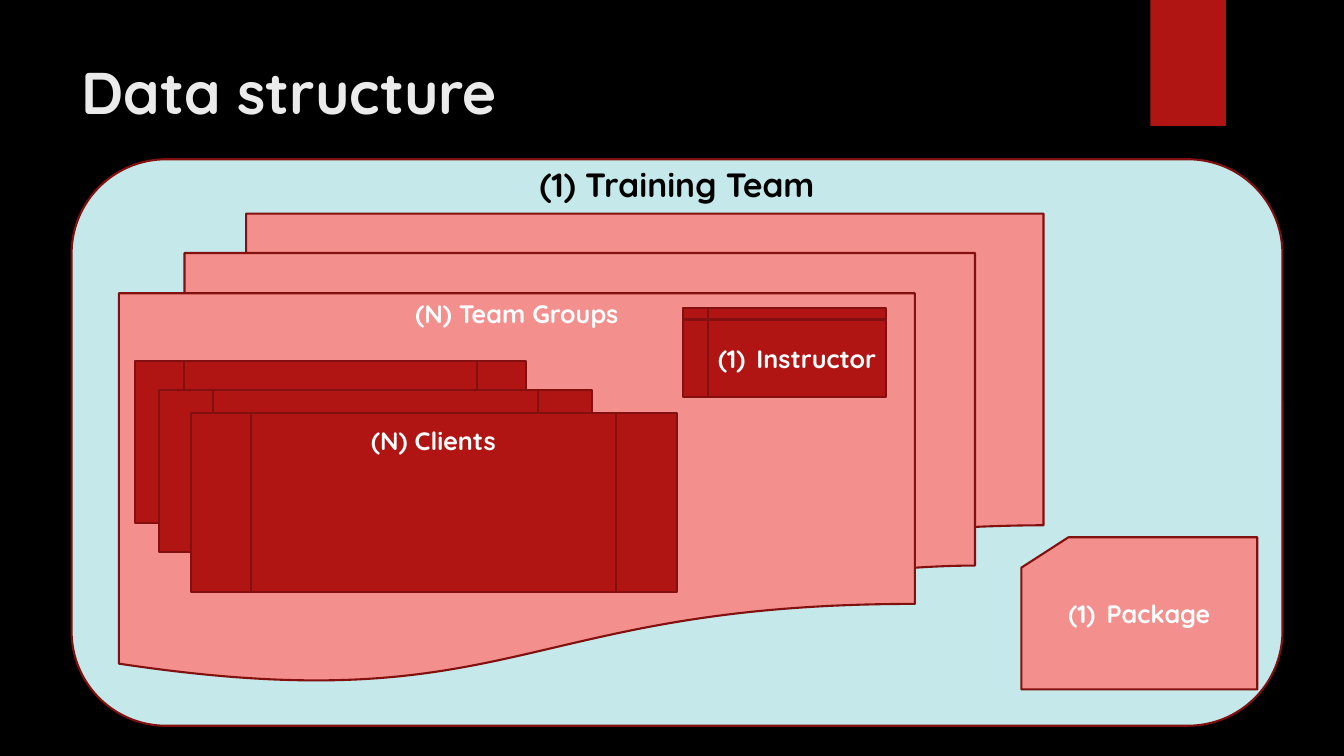
import pptx
import pptx.util
import pptx.dml.color
import pptx.enum.shapes
import pptx.enum.text
import pptx.oxml.ns
import lxml.etree

Inches = pptx.util.Inches
Kind = pptx.enum.shapes.MSO_SHAPE
Anchor = pptx.enum.text.MSO_ANCHOR
Align = pptx.enum.text.PP_ALIGN

FONT = "Quicksand"
RED, DARK, PINK, PALE = "B01513", "82100E", "F38F8D", "C5E8EA"
BLACK, WHITE, LIGHT = "000000", "FFFFFF", "EBEBEB"


def color(code):
    return pptx.dml.color.RGBColor.from_string(code)


def number(para):
    """Number a paragraph as (1), with a hanging indent."""
    props = para._p.get_or_add_pPr()
    indent = Inches(0.38)
    props.set("marL", str(indent))
    props.set("indent", str(-indent))
    tag = pptx.oxml.ns.qn("a:buAutoNum")
    lxml.etree.SubElement(props, tag, type="arabicParenBoth")


def write(shape, text, size=18, ink=WHITE, align=Align.CENTER,
          anchor=Anchor.TOP, top=0.05, bottom=0.05, count=False):
    frame = shape.text_frame
    frame.word_wrap = True
    frame.vertical_anchor = anchor
    frame.margin_top, frame.margin_bottom = Inches(top), Inches(bottom)
    para = frame.paragraphs[0]
    para.alignment = align
    if count:
        number(para)
    run = para.add_run()
    run.text = text
    run.font.name = FONT
    run.font.size = pptx.util.Pt(size)
    run.font.bold = True
    run.font.color.rgb = color(ink)


def draw(shapes, kind, box, fill, line=DARK):
    shape = shapes.add_shape(kind, *map(Inches, box))
    shape.shadow.inherit = False
    shape.fill.solid()
    shape.fill.fore_color.rgb = color(fill)
    if line:
        shape.line.color.rgb = color(line)
        shape.line.width = pptx.util.Pt(1.5)
    else:
        shape.line.fill.background()
    return shape


def label(shapes, box, text, **form):
    write(shapes.add_textbox(*map(Inches, box)), text, **form)


def header(shapes, box):
    x, y, w, h = box
    # Corner ribbon
    draw(shapes, Kind.RECTANGLE, (x + 10.7, 0, 0.75, 1.25), RED, None)
    # Title
    label(shapes, box, "Data structure", size=42, ink=LIGHT, align=Align.LEFT)


def clients(shapes, box):
    x, y, w, h = box
    stack = shapes.add_group_shape().shapes
    # Cards, back to front
    for dx, dy, cw, ch in ((0, 0, 3.88, 1.61), (0.24, 0.29, 4.29, 1.61),
                           (0.55, 0.52, w - 0.55, h - 0.52)):
        card = draw(stack, Kind.FLOWCHART_PREDEFINED_PROCESS,
                    (x + dx, y + dy, cw, ch), RED)
    write(card, "(N) Clients", top=0.12)


def groups(shapes, box):
    x, y, w, h = box
    pile = draw(shapes, Kind.FLOWCHART_MULTIDOCUMENT, box, PINK)
    write(pile, "(N) Team Groups")
    # Instructor
    coach = draw(shapes, Kind.FLOWCHART_INTERNAL_STORAGE,
                 (x + 5.59, y + 0.94, 2.02, 0.88), RED)
    write(coach, "Instructor", anchor=Anchor.MIDDLE, count=True)
    clients(shapes, (x + 0.16, y + 1.46, 5.37, 2.29))


def team(shapes, box):
    x, y, w, h = box
    draw(shapes, Kind.ROUNDED_RECTANGLE, box, PALE)
    label(shapes, (x, y, w, 0.52), "(1) Training Team", size=24, ink=BLACK)
    groups(shapes, (x + 0.47, y + 0.54, 9.17, 4.64))
    # Package
    card = draw(shapes, Kind.FLOWCHART_CARD,
                (x + 9.42, y + 3.75, 2.34, 1.51), PINK)
    write(card, "Package", anchor=Anchor.MIDDLE, bottom=0.36, count=True)


def main():
    deck = pptx.Presentation()
    deck.slide_width, deck.slide_height = Inches(13.33), Inches(7.5)
    slide = deck.slides.add_slide(deck.slide_layouts[6])
    back = slide.background.fill
    back.solid()
    back.fore_color.rgb = color(BLACK)
    header(slide.shapes, (0.71, 0.5, 10.29, 0.88))
    team(slide.shapes, (0.71, 1.58, 12.01, 5.62))
    deck.save("out.pptx")


if __name__ == "__main__":
    main()
